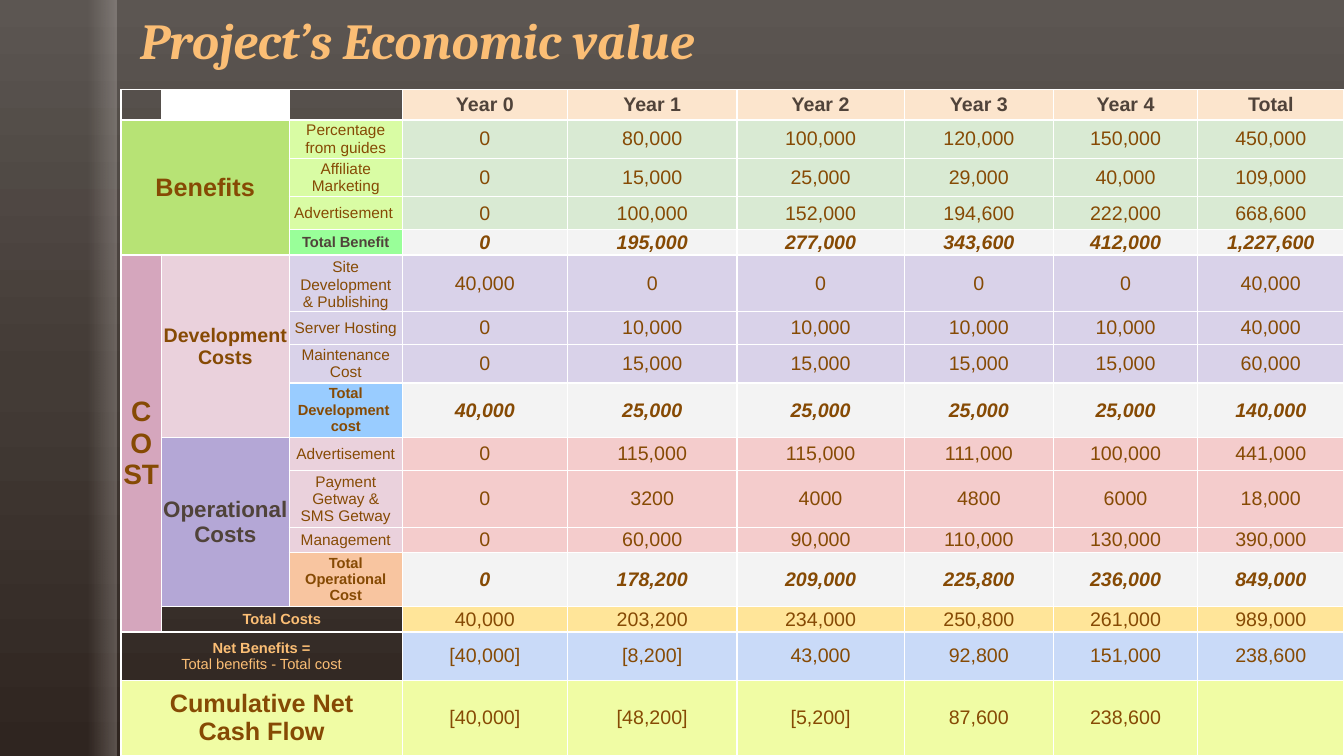
from copy import deepcopy
from dataclasses import dataclass
from lxml.etree import SubElement
from pptx import Presentation
from pptx.dml.color import RGBColor
from pptx.enum.shapes import MSO_SHAPE
from pptx.enum.text import MSO_ANCHOR, PP_ALIGN
from pptx.oxml.ns import qn
from pptx.util import Inches, Pt


@dataclass(frozen=True)
class Theme:
    """Hold the colours, fonts and type sizes."""
    gold: str = "FBBE75"
    brown: str = "864A04"
    dark: str = "50433A"
    rule: str = "FFFFFF"
    head: str = "FCE5CD"
    sum: str = "F3F3F3"
    gain: str = "D9EAD3"
    lime: str = "D9FCA4"
    build: str = "D9D2E9"
    run: str = "F4CCCC"
    pink: str = "EAD1DC"
    cash: str = "F0FCA4"
    serif: str = "Cambria"
    sans: str = "Arial"
    title: float = 36
    cost: float = 20
    group: float = 18
    branch: float = 16
    value: float = 14
    label: float = 11
    total: float = 10.5


T = Theme()
BACK = [(0, "5C5652", 100), (50, "433B36", 100), (100, "2F2520", 100)]
SHEEN = [(0, "E5DEDB", 0), (75, "E5DEDB", 0), (100, "E5DEDB", 25)]
COLS = [0.4, 1.27, 1.12, 1.64, 1.68, 1.66, 1.48, 1.43, 1.45]
ROWS = [0.3, 0.38, 0.38, 0.33, 0.25, 0.56, 0.33, 0.38,
        0.54, 0.33, 0.56, 0.25, 0.54, 0.25, 0.48, 0.75]
VALUES = [
    (T.head, "Year 0|Year 1|Year 2|Year 3|Year 4|Total"),
    (T.gain, "0|80,000|100,000|120,000|150,000|450,000"),
    (T.gain, "0|15,000|25,000|29,000|40,000|109,000"),
    (T.gain, "0|100,000|152,000|194,600|222,000|668,600"),
    (T.sum, "0|195,000|277,000|343,600|412,000|1,227,600"),
    (T.build, "40,000|0|0|0|0|40,000"),
    (T.build, "0|10,000|10,000|10,000|10,000|40,000"),
    (T.build, "0|15,000|15,000|15,000|15,000|60,000"),
    (T.sum, "40,000|25,000|25,000|25,000|25,000|140,000"),
    (T.run, "0|115,000|115,000|111,000|100,000|441,000"),
    (T.run, "0|3200|4000|4800|6000|18,000"),
    (T.run, "0|60,000|90,000|110,000|130,000|390,000"),
    (T.sum, "0|178,200|209,000|225,800|236,000|849,000"),
    ("FFE599", "40,000|203,200|234,000|250,800|261,000|989,000"),
    ("C9DAF8", "[40,000]|[8,200]|43,000|92,800|151,000|238,600"),
    (T.cash, "[40,000]|[48,200]|[5,200]|87,600|238,600|"),
]
LABELS = [
    (1, "Percentage\nfrom guides", T.lime),
    (2, "Affiliate Marketing", T.lime),
    (3, "Advertisement ", T.lime),
    (5, "Site Development\n& Publishing", T.build),
    (6, "Server Hosting", T.build),
    (7, "Maintenance Cost", T.build),
    (9, "Advertisement", T.pink),
    (10, "Payment Getway &\nSMS Getway", T.pink),
    (11, "Management", T.pink),
]
TOTALS = [
    (4, "Total Benefit", "99FF99", T.dark),
    (8, "Total Development \ncost", "99CCFF", T.brown),
    (12, "Total Operational\nCost", "F8C5A0", T.brown),
]
GROUPS = [
    (1, 0, 4, 2, "Benefits", "B7E375", T.group, T.brown),
    (5, 0, 9, 1, "COST", "D5A6BD", T.cost, T.brown),
    (5, 1, 4, 1, "Development\nCosts", T.pink, T.value, T.brown),
    (9, 1, 4, 1, "Operational\nCosts", "B4A7D6", T.branch, T.dark),
    (13, 1, 1, 2, "Total Costs", None, T.total, T.gold),
    (14, 0, 1, 3, "Net Benefits =\n", None, T.total, T.gold),
    (15, 0, 1, 3, "Cumulative Net\nCash Flow", T.cash, T.group, T.brown),
]


def apply(item, form):
    """Set each attribute in a dict of format values."""
    for name, value in form.items():
        setattr(item, name, value)


def shade(item, stops, angle):
    """Give an element with a gradient fill its stops and angle."""
    root = item.element
    row = root.find(".//" + qn("a:gsLst"))
    for old in list(row):
        row.remove(old)
    for spot, tint, alpha in stops:
        stop = SubElement(row, qn("a:gs"), pos=str(spot * 1000))
        color = SubElement(stop, qn("a:srgbClr"), val=tint)
        SubElement(color, qn("a:alpha"), val=str(alpha * 1000))
    root.find(".//" + qn("a:lin")).set("ang", str(angle * 60000))


def write(para, text, size, color, bold=False, italic=False, face=T.sans):
    """Add formatted text, breaking lines at each newline."""
    for index, line in enumerate(text.split("\n")):
        if index:
            para.add_line_break()
        run = para.add_run()
        run.text = line
        apply(run.font, {"size": Pt(size), "bold": bold,
                         "italic": italic, "name": face})
        run.font.color.rgb = RGBColor.from_string(color)
    for gap in para._p.findall(qn("a:br")):
        if not len(gap):
            gap.append(deepcopy(run._r.rPr))


def edge(cell):
    """Draw thin rules on all sides of a cell."""
    props = cell._tc.get_or_add_tcPr()
    for side in ("lnL", "lnR", "lnT", "lnB"):
        line = SubElement(props, qn("a:" + side), w=str(Pt(1)))
        fill = SubElement(line, qn("a:solidFill"))
        SubElement(fill, qn("a:srgbClr"), val=T.rule)


def put(cell, text, fill, size, color, **style):
    """Fill one cell and write its centred text."""
    if fill:
        cell.fill.solid()
        cell.fill.fore_color.rgb = RGBColor.from_string(fill)
    else:
        cell.fill.background()
    pad = Inches(0.01)
    apply(cell, {"margin_left": pad, "margin_right": pad, "margin_top": pad,
                 "margin_bottom": pad, "vertical_anchor": MSO_ANCHOR.MIDDLE})
    para = cell.text_frame.paragraphs[0]
    para.alignment = PP_ALIGN.CENTER
    write(para, text, size, color, **style)


def side(slide, left, top, width, height):
    """Place the backdrop and the sheen on the left band."""
    slide.background.fill.gradient()
    shade(slide, BACK, 90)
    band = slide.shapes.add_shape(MSO_SHAPE.RECTANGLE, Inches(left), Inches(top),
                                  Inches(width), Inches(height))
    band.shadow.inherit = False
    band.line.fill.background()
    band.fill.gradient()
    shade(band, SHEEN, 0)


def head(slide, left, top, width, height):
    """Place the slide title."""
    title = slide.shapes.title
    apply(title, {"left": Inches(left), "top": Inches(top),
                  "width": Inches(width), "height": Inches(height)})
    apply(title.text_frame, {"vertical_anchor": MSO_ANCHOR.BOTTOM, "word_wrap": True})
    para = title.text_frame.paragraphs[0]
    apply(para, {"alignment": PP_ALIGN.LEFT, "line_spacing": 0.9})
    write(para, "Project’s Economic value", T.title, T.gold, True, True, T.serif)


def ledger(slide, left, top):
    """Place the table of benefits and costs."""
    grid = slide.shapes.add_table(
        len(ROWS), len(COLS), Inches(left), Inches(top),
        Inches(sum(COLS)), Inches(sum(ROWS))).table
    apply(grid, {"first_row": False, "horz_banding": False})
    for col, width in zip(grid.columns, COLS):
        col.width = Inches(width)
    for row, height in zip(grid.rows, ROWS):
        row.height = Inches(height)
    for cell in grid.iter_cells():
        edge(cell)
    for row, (fill, line) in enumerate(VALUES):
        total = fill == T.sum
        color = T.brown if row else T.dark
        for col, text in enumerate(line.split("|"), 3):
            put(grid.cell(row, col), text, fill, T.value, color,
                bold=total or not row, italic=total)
    for col, fill in enumerate((None, T.rule, None)):
        put(grid.cell(0, col), "", fill, T.label, T.dark)
    for row, text, fill in LABELS:
        put(grid.cell(row, 2), text, fill, T.label, T.brown)
    for row, text, fill, color in TOTALS:
        put(grid.cell(row, 2), text, fill, T.total, color, bold=True)
    for row, col, high, wide, text, fill, size, color in GROUPS:
        cell = grid.cell(row, col)
        cell.merge(grid.cell(row + high - 1, col + wide - 1))
        put(cell, text, fill, size, color, bold=True)
    grid.cell(5, 2).vertical_anchor = MSO_ANCHOR.BOTTOM
    net = grid.cell(14, 0).text_frame.paragraphs[0]
    write(net, "Total benefits - Total cost", T.total, T.gold)


def main():
    """Build the deck and save it."""
    deck = Presentation()
    apply(deck, {"slide_width": Inches(13.33), "slide_height": Inches(7.5)})
    slide = deck.slides.add_slide(deck.slide_layouts[5])
    side(slide, 0, 0, 1.16, 7.5)
    head(slide, 1.29, 0.08, 10.75, 0.67)
    ledger(slide, 1.2, 0.89)
    deck.save("out.pptx")


if __name__ == "__main__":
    main()
